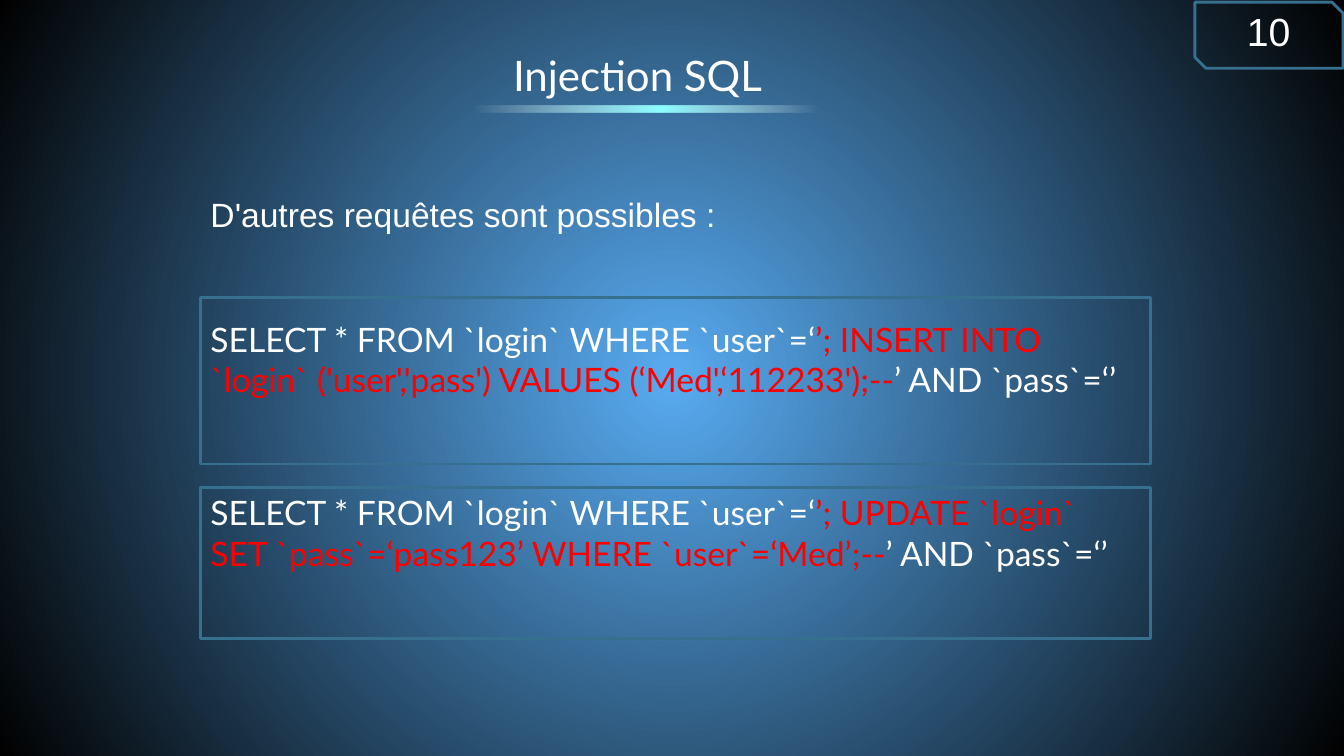
from lxml.etree import SubElement
from pptx import Presentation
from pptx.dml.color import RGBColor
from pptx.enum.shapes import MSO_SHAPE
from pptx.enum.text import MSO_ANCHOR, MSO_AUTO_SIZE, PP_ALIGN
from pptx.oxml.ns import qn
from pptx.util import Pt

EMU_PER_PX = 9525
WHITE, RED, BORDER = "FFFFFF", "FF0000", "37708F"


def px(length):
    return length * EMU_PER_PX


def color(value):
    return RGBColor.from_string(value)


def replace_with_gradient(solid_fill, stops):
    """Swap a solid fill for a gradient of (percent, colour, opacity) stops."""
    gradient = solid_fill.makeelement(qn("a:gradFill"), {"rotWithShape": "1"})
    stop_list = SubElement(gradient, qn("a:gsLst"))
    for percent, value, opacity in stops:
        stop = SubElement(stop_list, qn("a:gs"), pos=str(percent * 1000))
        stop_color = SubElement(stop, qn("a:srgbClr"), val=value)
        if opacity < 100:
            SubElement(stop_color, qn("a:alpha"), val=str(opacity * 1000))
    solid_fill.getparent().replace(solid_fill, gradient)
    return gradient


class SlideBuilder:
    heading_font = "Lato"
    body_font = "Arial"

    def __init__(self, presentation):
        self.slide = presentation.slides.add_slide(presentation.slide_layouts[5])

    def background(self, center, edge):
        self.slide.background.fill.solid()
        solid_fill = self.slide.element.find(".//" + qn("p:bgPr")).find(qn("a:solidFill"))
        gradient = replace_with_gradient(solid_fill, [(0, center, 100), (100, edge, 100)])
        circle = SubElement(gradient, qn("a:path"), {"path": "circle"})
        SubElement(circle, qn("a:fillToRect"), {side: "50000" for side in "ltrb"})

    def fill_text(self, shape, parts, size, font):
        """Fill a shape with one paragraph of (text, colour) parts."""
        frame = shape.text_frame
        frame.word_wrap = True
        frame.auto_size = MSO_AUTO_SIZE.NONE
        frame.vertical_anchor = MSO_ANCHOR.TOP
        paragraph = frame.paragraphs[0]
        paragraph.alignment = PP_ALIGN.LEFT
        paragraph.space_before = Pt(0)
        for text, value in parts:
            run = paragraph.add_run()
            run.text = text
            run.font.size = Pt(size)
            run.font.name = font
            run.font.color.rgb = color(value)

    def title(self, text, left, top, width, height):
        title = self.slide.shapes.title
        title.left, title.top, title.width, title.height = map(px, (left, top, width, height))
        self.fill_text(title, [(text, WHITE)], 30, self.heading_font)

    def text(self, parts, left, top, width, height, size=24, font=body_font):
        box = self.slide.shapes.add_textbox(*map(px, (left, top, width, height)))
        self.fill_text(box, parts, size, font)

    def outline(self, left, top, width, height, kind=MSO_SHAPE.RECTANGLE):
        shape = self.slide.shapes.add_shape(kind, *map(px, (left, top, width, height)))
        shape.shadow.inherit = False
        shape.fill.background()
        shape.line.color.rgb = color(BORDER)
        shape.line.width = Pt(2)

    def glow_bar(self, left, top, width, height, glow):
        bar = self.slide.shapes.add_shape(
            MSO_SHAPE.RECTANGLE, *map(px, (left, top, width, height)))
        bar.shadow.inherit = False
        bar.line.fill.background()
        bar.fill.solid()
        stops = [(0, WHITE, 0), (11, WHITE, 0), (48, glow, 100), (92, WHITE, 0), (100, WHITE, 0)]
        solid_fill = bar.element.spPr.find(qn("a:solidFill"))
        gradient = replace_with_gradient(solid_fill, stops)
        SubElement(gradient, qn("a:lin"), ang="10800000", scaled="0")


def main():
    presentation = Presentation()
    presentation.slide_width, presentation.slide_height = px(1280), px(720)
    builder = SlideBuilder(presentation)
    builder.background("58ABF1", "010101")

    # Title and underline
    builder.title("Injection SQL", 479, 42, 451, 59)
    builder.glow_bar(419, 101, 404, 6, "8CFFFF")

    # Introduction
    builder.text([("D'autres requêtes sont possibles :", WHITE)], 191, 180, 874, 48)

    # Framed queries: injected part, text top and height, frame top and height
    queries = [
        ("’; INSERT INTO `login` ('user','pass') VALUES (‘Med',‘112233');--",
         299, 126, 283, 159),
        ("’; UPDATE `login` SET `pass`=‘pass123’ WHERE `user`=‘Med’;--",
         464, 87, 464, 144),
    ]
    for injected, text_top, text_height, frame_top, frame_height in queries:
        builder.outline(191, frame_top, 905, frame_height)
        parts = [("SELECT * FROM `login` WHERE `user`=‘", WHITE),
                 (injected, RED),
                 ("’ AND `pass`=‘’", WHITE)]
        builder.text(parts, 191, text_top, 888, text_height, font=builder.heading_font)

    # Page number
    builder.outline(1138, 2, 141, 63, MSO_SHAPE.SNIP_2_DIAG_RECTANGLE)
    builder.text([("10", WHITE)], 1178, 2, 61, 55, size=28)

    presentation.save("out.pptx")


if __name__ == "__main__":
    main()
